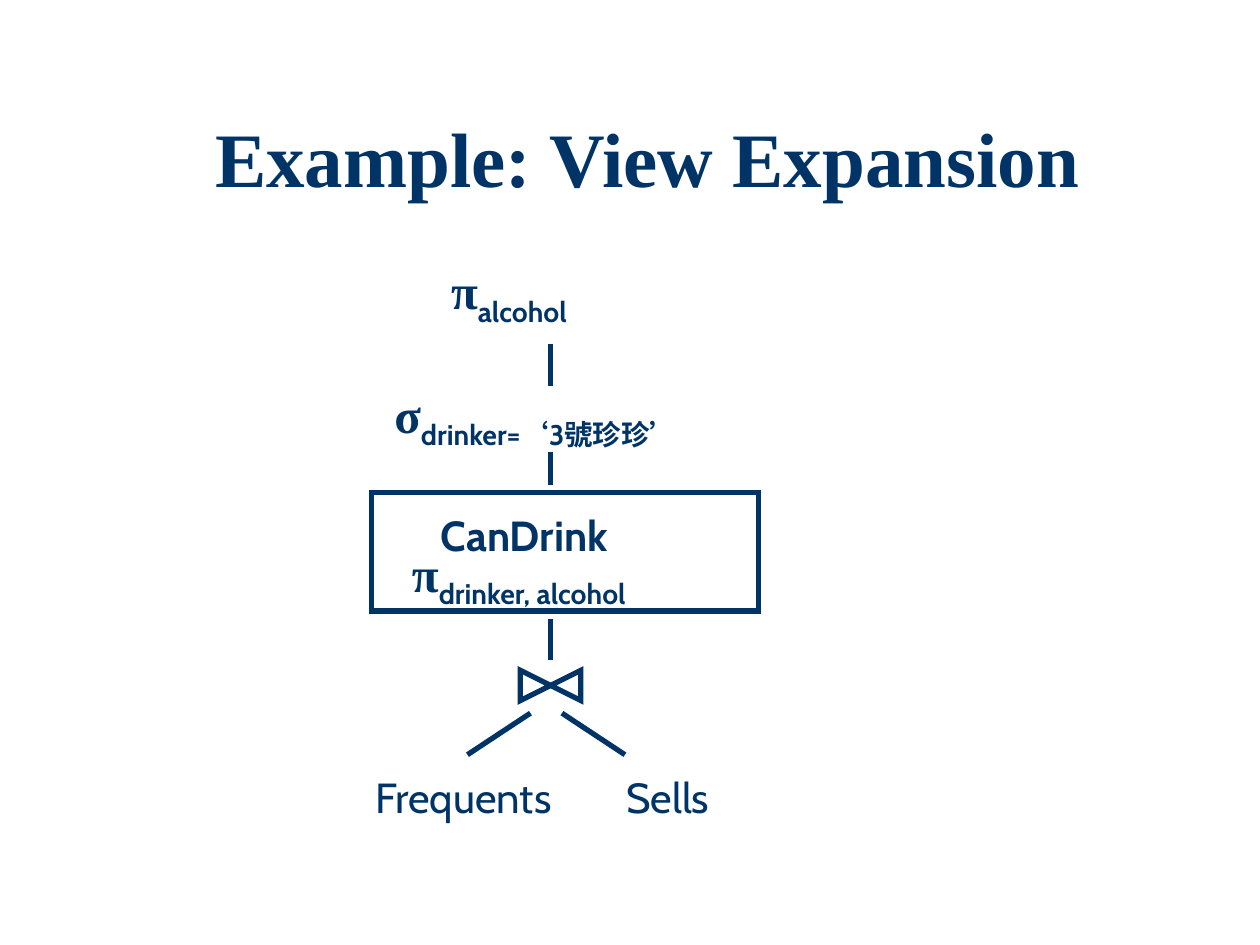
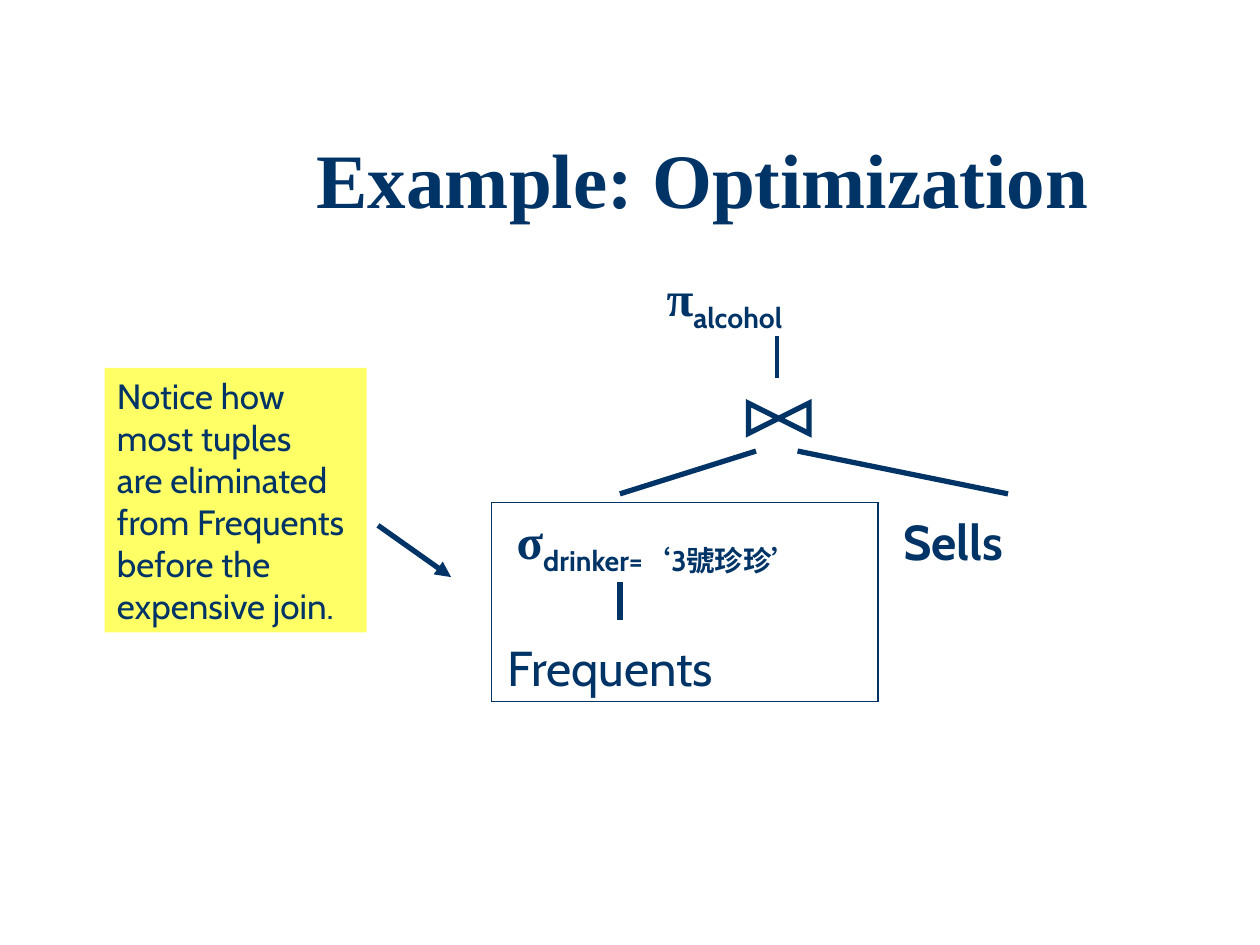
"""Builds two slides showing view expansion and optimization of a query tree."""
from lxml import etree
from pptx import Presentation
from pptx.dml.color import RGBColor
from pptx.enum.shapes import MSO_CONNECTOR, MSO_SHAPE
from pptx.enum.text import MSO_ANCHOR, MSO_AUTO_SIZE, PP_ALIGN
from pptx.oxml.ns import qn
from pptx.util import Inches, Pt

COLORS = {"navy": "003366", "white": "FFFFFF", "yellow": "FFFF66"}
RGB = {name: RGBColor.from_string(value) for name, value in COLORS.items()}
SERIF, SANS = "Times New Roman", "Cabin"
SELECTED = "drinker=‘3號珍珍’"
SIDE = 0.24


def add_run(p, text, size, font=SANS, bold=False, sub=False):
    r = p.add_run()
    r.text = text
    r.font.name, r.font.size, r.font.bold = font, Pt(size), bold
    r.font.color.rgb = RGB["navy"]
    if sub:
        r.font._element.set("baseline", "-25000")


def add_box(s, kind, x, y, w, h, fill=None, line=None):
    box = s.shapes.add_shape(kind, Inches(x), Inches(y), Inches(w), Inches(h))
    box.shadow.inherit = False
    if fill:
        box.fill.solid()
        box.fill.fore_color.rgb = RGB[fill]
    else:
        box.fill.background()
    if line:
        box.line.color.rgb = RGB["navy"]
        box.line.width = Pt(line)
        etree.SubElement(box.line._get_or_add_ln(), qn("a:miter"), lim="800000")
    else:
        box.line.fill.background()
    return box


slides = [
    {
        "title": ("Example: View Expansion", 1.14, 0.91),
        "box": (2.95, 3.91, 3.07, 0.94, None, 3),
        "operators": [("π", "alcohol", 3.58, 2.07), ("σ", SELECTED, 3.13, 3.05),
                      ("π", "drinker, alcohol", 3.27, 4.31)],
        "names": [("CanDrink", 3.5, 4.04, 24, True), ("Frequents", 2.98, 6.12, 24, False),
                  ("Sells", 4.97, 6.12, 24, False)],
        "lines": [(4.37, 2.73, 4.37, 3.06, 3), (4.37, 3.59, 4.37, 3.85, 3),
                  (4.37, 4.91, 4.37, 5.24, 3), (4.21, 5.66, 3.71, 5.99, 3),
                  (4.46, 5.66, 4.96, 5.99, 3)],
        "join": (4.37, 5.32),
    },
    {
        "title": ("Example: Optimization", 1.58, 1.08),
        "box": (3.9, 3.99, 3.07, 1.58, "white", 0.75),
        "operators": [("π", "alcohol", 5.29, 2.12), ("σ", SELECTED, 4.1, 4.05)],
        "names": [("Sells", 7.17, 4.06, 28, True), ("Frequents", 4.03, 5.06, 28, False)],
        "lines": [(6.17, 2.67, 6.17, 3, 2.25), (6, 3.58, 4.92, 3.92, 3),
                  (6.33, 3.58, 8, 3.92, 3), (4.92, 4.62, 4.92, 4.92, 3)],
        "join": (6.18, 3.2),
    },
]
note = ["Notice how", "most tuples", "are eliminated", "from Frequents",
        "before the", "expensive join."]

prs = Presentation()
prs.slide_width, prs.slide_height = Inches(10), Inches(7.5)

for content in slides:
    s = prs.slides.add_slide(prs.slide_layouts[5])
    s.background.fill.solid()
    s.background.fill.fore_color.rgb = RGB["white"]

    text, x, y = content["title"]
    title = s.shapes.title
    title.left, title.top, title.width, title.height = map(Inches, (x, y, 8, 0.92))
    tf = title.text_frame
    tf.auto_size = MSO_AUTO_SIZE.NONE
    tf.vertical_anchor = MSO_ANCHOR.TOP
    p = tf.paragraphs[0]
    p.alignment, p.line_spacing = PP_ALIGN.CENTER, 0.9
    add_run(p, text, 44, SERIF, True)

    add_box(s, MSO_SHAPE.RECTANGLE, *content["box"])

    labels = [(x, y, [(symbol, 28, SERIF, True), (sub, 28, SANS, True, True)])
              for symbol, sub, x, y in content["operators"]]
    labels += [(x, y, [(name, size, SANS, bold)])
               for name, x, y, size, bold in content["names"]]
    for x, y, runs in labels:
        tf = s.shapes.add_textbox(Inches(x), Inches(y), Inches(2.6), Inches(0.47)).text_frame
        tf.word_wrap = True
        tf.margin_left = tf.margin_right = tf.margin_top = tf.margin_bottom = 0
        for run in runs:
            add_run(tf.paragraphs[0], *run)

    lines = [(*line, False) for line in content["lines"]]
    if content is slides[1]:
        sp = add_box(s, MSO_SHAPE.RECTANGLE, 0.83, 2.92, 2.08, 2.1, "yellow")
        tf = sp.text_frame
        tf.word_wrap = False
        tf.vertical_anchor = MSO_ANCHOR.TOP
        for i, text in enumerate(note):
            p = tf.add_paragraph() if i else tf.paragraphs[0]
            p.alignment = PP_ALIGN.LEFT
            add_run(p, text, 20)
        lines.append((3, 4.17, 3.58, 4.58, 3, True))

    for x1, y1, x2, y2, width, arrow in lines:
        cxn = s.shapes.add_connector(MSO_CONNECTOR.STRAIGHT, Inches(x1), Inches(y1),
                                     Inches(x2), Inches(y2))
        cxn.line.color.rgb = RGB["navy"]
        cxn.line.width = Pt(width)
        if arrow:
            etree.SubElement(cxn.line._get_or_add_ln(), qn("a:tailEnd"), type="triangle")
        etree.SubElement(cxn._element.spPr, qn("a:effectLst"))

    x, y = content["join"]
    for left, angle in ((x - SIDE, 90), (x, 270)):
        half = add_box(s, MSO_SHAPE.ISOSCELES_TRIANGLE, left, y, SIDE, SIDE, None, 3)
        half.rotation = angle

prs.save("out.pptx")
